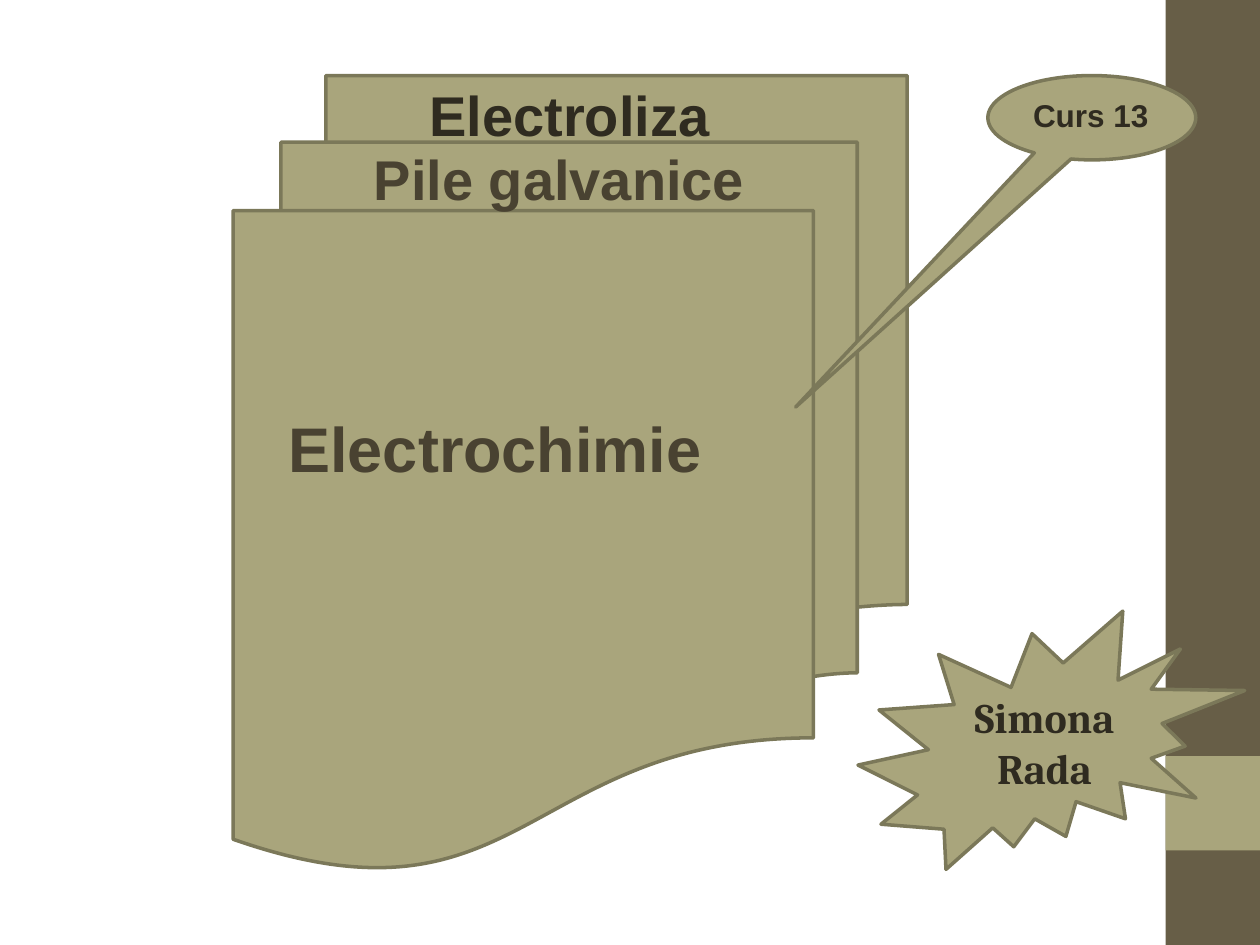
from dataclasses import dataclass

from pptx import Presentation
from pptx.dml.color import RGBColor
from pptx.enum.shapes import MSO_SHAPE
from pptx.enum.text import MSO_ANCHOR, PP_ALIGN
from pptx.util import Pt

BROWN = RGBColor(0x67, 0x5E, 0x47)
OLIVE = RGBColor(0xA9, 0xA5, 0x7C)
EDGE = RGBColor(0x7B, 0x78, 0x59)
DARK = RGBColor(0x2F, 0x2B, 0x20)
UMBER = RGBColor(0x49, 0x42, 0x31)

RECT = MSO_SHAPE.RECTANGLE
DOCUMENTS = MSO_SHAPE.FLOWCHART_MULTIDOCUMENT
CALLOUT = MSO_SHAPE.OVAL_CALLOUT
STAR = MSO_SHAPE.EXPLOSION2
TOP = MSO_ANCHOR.TOP
LEFT, CENTER = PP_ALIGN.LEFT, PP_ALIGN.CENTER

TITLE_ONLY = 5


@dataclass
class Figure:
    kind: int
    box: tuple
    fill: RGBColor = OLIVE
    outlined: bool = True
    adjustments: tuple = ()


@dataclass
class Label:
    lines: tuple
    box: tuple
    size: float
    color: RGBColor
    font: str = "Arial"
    align: int = LEFT


FIGURES = [
    Figure(RECT, (666, 0, 54, 540), BROWN, outlined=False),
    Figure(RECT, (666, 432, 54, 54), outlined=False),
    Figure(DOCUMENTS, (133.2, 43.2, 385.2, 453.6)),
    Figure(CALLOUT, (564.5, 43.2, 118.8, 48.2), adjustments=(-1.425, 3.432)),
    Figure(STAR, (490.3, 349.2, 221, 147.6)),
]

TITLE = Label(("Electrochimie",), (157.7, 230.4, 272.2, 50.4), 36, UMBER)

LABELS = [
    Label(("Curs 13",), (583.2, 51.1, 85, 50.4), 18, DARK),
    Label(("Simona", "Rada"), (529.9, 391.7, 133.9, 64.8), 24, DARK, "Cambria", CENTER),
    Label(("Pile galvanice",), (206.6, 79.2, 254.9, 46.1), 32, UMBER),
    Label(("Electroliza",), (238.3, 42.5, 249.8, 46.1), 32, DARK),
]


def draw_figure(s, fig: Figure) -> None:
    sp = s.shapes.add_shape(fig.kind, *map(Pt, fig.box))
    sp.shadow.inherit = False
    sp.fill.solid()
    sp.fill.fore_color.rgb = fig.fill
    if fig.outlined:
        sp.line.color.rgb = EDGE
        sp.line.width = Pt(2)
    else:
        sp.line.fill.background()
    for i, value in enumerate(fig.adjustments):
        sp.adjustments[i] = value


def write_label(sp, label: Label) -> None:
    """Place a text box or placeholder and fill it with the label's lines."""
    for name, value in zip(("left", "top", "width", "height"), label.box):
        setattr(sp, name, Pt(value))
    tf = sp.text_frame
    frame = {"word_wrap": True, "vertical_anchor": TOP,
             "margin_left": Pt(7.2), "margin_right": Pt(7.2),
             "margin_top": Pt(3.6), "margin_bottom": Pt(3.6)}
    for name, value in frame.items():
        setattr(tf, name, value)
    font = {"name": label.font, "size": Pt(label.size), "bold": True}
    for i, line in enumerate(label.lines):
        p = tf.paragraphs[0] if i == 0 else tf.add_paragraph()
        p.alignment = label.align
        r = p.add_run()
        r.text = line
        for name, value in font.items():
            setattr(r.font, name, value)
        r.font.color.rgb = label.color


def main() -> None:
    prs = Presentation()
    prs.slide_width, prs.slide_height = Pt(720), Pt(540)
    s = prs.slides.add_slide(prs.slide_layouts[TITLE_ONLY])
    title = s.shapes.title

    for fig in FIGURES:
        draw_figure(s, fig)
    # The title lies on the front page of the document stack.
    s.shapes[-1].element.addnext(title.element)
    write_label(title, TITLE)
    for label in LABELS:
        write_label(s.shapes.add_textbox(*map(Pt, label.box)), label)

    prs.save("out.pptx")


if __name__ == "__main__":
    main()
